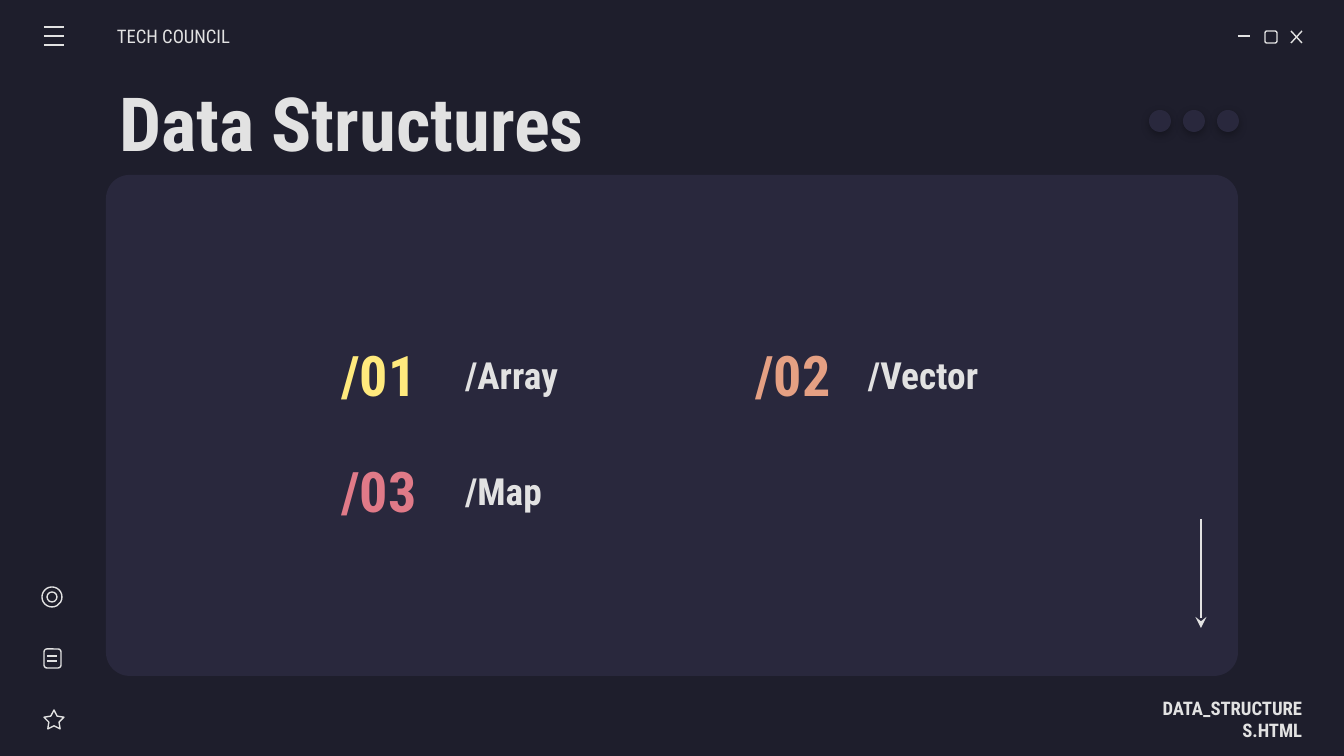
from lxml import etree
from pptx import Presentation
from pptx.dml.color import RGBColor
from pptx.enum.shapes import MSO_CONNECTOR as CONN, MSO_SHAPE as SHAPE
from pptx.enum.text import MSO_ANCHOR as ANCHOR, PP_ALIGN as ALIGN
from pptx.oxml import parse_xml
from pptx.oxml.ns import nsdecls, qn
from pptx.util import Emu, Pt

WIDTH, HEIGHT = 1344, 756
SCALE = 9144000 / WIDTH
BG, PANEL, LIGHT = "1E1E2C", "29283D", "E2E2E2"
SHADOW = (
    f'<a:effectLst {nsdecls("a")}>'
    '<a:outerShdw blurRad="57150" dist="19050" dir="5400000" algn="bl" rotWithShape="0">'
    '<a:srgbClr val="000000"><a:alpha val="30000"/></a:srgbClr>'
    '</a:outerShdw></a:effectLst>'
)


def px(n):
    return Emu(round(n * SCALE))


def rgb(color):
    return RGBColor.from_string(color)


class Canvas:
    font = "Roboto Condensed"
    stroke = 0.75
    inset = 13

    def __init__(self, slide):
        self.s = slide
        bg = slide.background.fill
        bg.solid()
        bg.fore_color.rgb = rgb(BG)

    def shape(self, kind, x, y, w, h, fill=None, line=None, adj=None, shadow=False):
        sp = self.s.shapes.add_shape(kind, px(x), px(y), px(w), px(h))
        if shadow:
            sp._element.spPr.append(parse_xml(SHADOW))
        else:
            sp.shadow.inherit = False
        if fill:
            sp.fill.solid()
            sp.fill.fore_color.rgb = rgb(fill)
        else:
            sp.fill.background()
        if line:
            sp.line.color.rgb = rgb(line)
            sp.line.width = Pt(self.stroke)
        else:
            sp.line.fill.background()
        if adj is not None:
            sp.adjustments[0] = adj
        return sp

    def line(self, x1, y1, x2, y2, arrow=False):
        cx = self.s.shapes.add_connector(CONN.STRAIGHT, px(x1), px(y1), px(x2), px(y2))
        cx.line.color.rgb = rgb(LIGHT)
        cx.line.width = Pt(self.stroke)
        if arrow:
            etree.SubElement(cx.line._get_or_add_ln(), qn("a:tailEnd"), type="stealth")
        etree.SubElement(cx._element.spPr, qn("a:effectLst"))
        return cx

    def text(self, text, x, y, w, h, size=10, color=LIGHT, bold=False,
             align=ALIGN.LEFT, left=inset, right=inset):
        sp = self.s.shapes.add_textbox(px(x), px(y), px(w), px(h))
        tf = sp.text_frame
        tf.word_wrap = True
        tf.vertical_anchor = ANCHOR.MIDDLE
        tf.margin_left, tf.margin_right = px(left), px(right)
        tf.margin_top = tf.margin_bottom = px(self.inset)
        p = tf.paragraphs[0]
        p.alignment = align
        r = p.add_run()
        r.text = text
        r.font.name = self.font
        r.font.size = Pt(size)
        r.font.bold = bold
        r.font.color.rgb = rgb(color)
        return sp


def draw_window(c):
    c.shape(SHAPE.ROUNDED_RECTANGLE, 106, 175, 1132, 501, fill=PANEL, adj=0.047)
    c.line(1238, 36, 1250, 36)
    c.shape(SHAPE.ROUNDED_RECTANGLE, 1265, 31, 12, 12, line=LIGHT)
    c.line(1291, 31, 1302, 43)
    c.line(1302, 31, 1291, 43)
    for i in range(3):
        c.shape(SHAPE.OVAL, 1149 + 34 * i, 110, 22, 22, fill=PANEL, shadow=True)


def draw_sidebar(c):
    for y in (27, 36, 45):
        c.line(44, y, 64, y)
    c.shape(SHAPE.OVAL, 42, 587, 20, 20, line=LIGHT)
    c.shape(SHAPE.OVAL, 47, 592, 10, 10, line=LIGHT)
    c.shape(SHAPE.ROUNDED_RECTANGLE, 44, 649, 17, 19, line=LIGHT)
    for y in (656, 661):
        c.line(47, y, 57, y)
    c.shape(SHAPE.STAR_5_POINT, 44, 710, 20, 19, line=LIGHT, adj=0.254)


def draw_topics(c):
    topics = [
        ("/01", "/Array", "FFEA7D", 318, 452, 344, 337),
        ("/02", "/Vector", "E5A083", 732, 855, 157, 337),
        ("/03", "/Map", "E07A88", 318, 452, 344, 453),
    ]
    for number, name, color, number_x, name_x, name_w, y in topics:
        c.text(name, name_x, y, name_w, 75, size=20, bold=True)
        c.text(number, number_x, y, 122, 75, size=30, color=color, bold=True,
               align=ALIGN.CENTER)


def main():
    prs = Presentation()
    prs.slide_width, prs.slide_height = px(WIDTH), px(HEIGHT)
    c = Canvas(prs.slides.add_slide(prs.slide_layouts[6]))
    draw_window(c)
    draw_sidebar(c)
    draw_topics(c)
    c.text("Data Structures", 106, 79, 1132, 85, size=40, bold=True)
    c.line(1201, 519, 1201, 628, arrow=True)
    c.text("TECH COUNCIL", 117, 16, 157, 40, left=0)
    c.text("DATA_STRUCTURES.HTML", 1145, 699, 157, 40, bold=True,
           align=ALIGN.RIGHT, right=0)
    prs.save("out.pptx")


if __name__ == "__main__":
    main()
